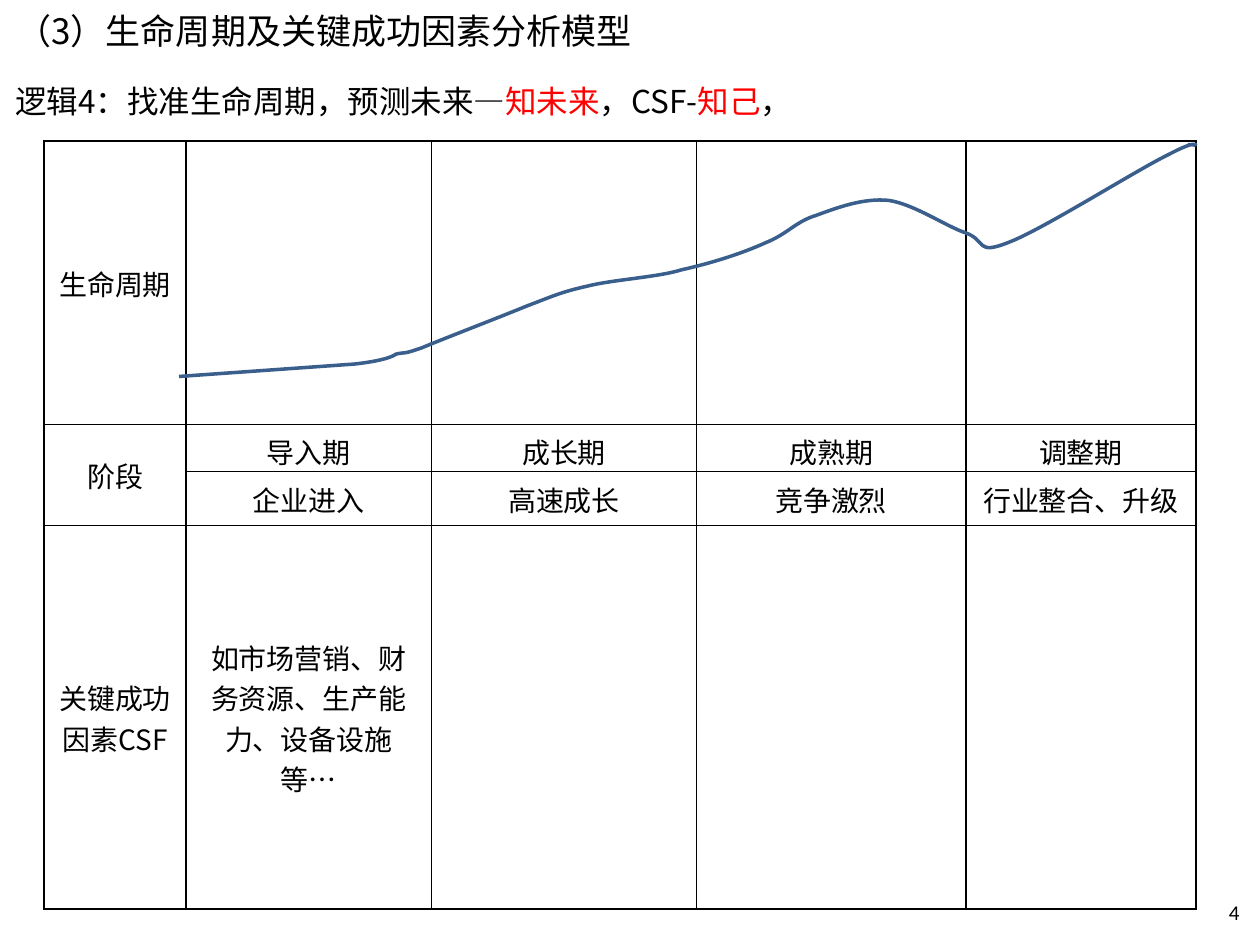
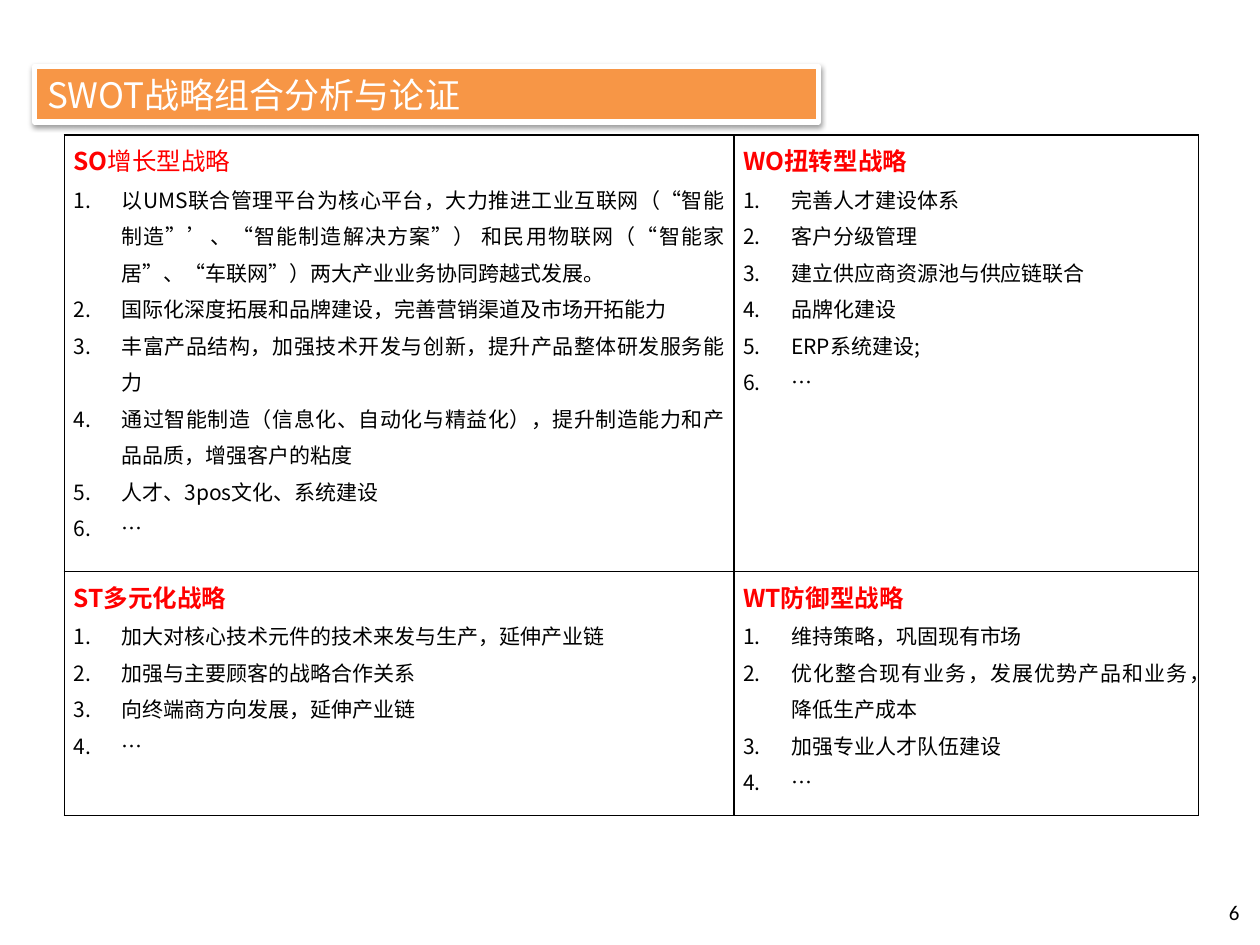
from lxml import etree
from pptx import Presentation
from pptx.dml.color import RGBColor
from pptx.enum import shapes, text
from pptx.oxml.ns import qn
from pptx.util import Cm, Pt

COLORS = {
    "ink": "000000",
    "paper": "FFFFFF",
    "accent": "FF0000",
    "band": "F79646",
    "curve": "3A5F8C",
}
HAN = "Noto Sans CJK SC"
LATIN = "Calibri"
LEFT, CENTER, JUSTIFY = (
    text.PP_ALIGN.LEFT, text.PP_ALIGN.CENTER, text.PP_ALIGN.JUSTIFY)

STAGES = [
    ("导入期", "企业进入"),
    ("成长期", "高速成长"),
    ("成熟期", "竞争激烈"),
    ("调整期", "行业整合、升级"),
]
CURVE_START = [(3.61, 7.59), (7.14, 7.34)]
CURVE_BENDS = [
    ((7.87, 7.26), (7.98, 7.14), (7.98, 7.14)),
    ((8.2, 7.09), (8.08, 7.16), (8.51, 7.01)),
    ((8.94, 6.83), (10.06, 6.4), (10.62, 6.17)),
    ((11.15, 5.97), (11.3, 5.89), (11.84, 5.77)),
    ((12.34, 5.64), (13.26, 5.59), (13.74, 5.44)),
    ((14.33, 5.31), (14.96, 5.11), (15.42, 4.9)),
    ((15.88, 4.72), (16.03, 4.47), (16.46, 4.34)),
    ((16.87, 4.19), (17.4, 3.99), (17.91, 4.04)),
    ((18.42, 4.11), (19.08, 4.57), (19.48, 4.7)),
    ((19.89, 4.85), (19.66, 5.16), (20.35, 4.88)),
    ((21.03, 4.62), (22.91, 3.43), (23.55, 3.12)),
    ((24.18, 2.79), (24.03, 2.97), (24.1, 2.92)),
    ((24.16, 2.9), (23.95, 2.92), (23.95, 2.92)),
]
STRATEGIES = [
    [
        ([("SO", True), ("增长型战略", False)], [
            "以UMS联合管理平台为核心平台，大力推进工业互联网（“智能制造”’、“智能制造解决方案”） "
            "和民用物联网（“智能家居”、“车联网”）两大产业业务协同跨越式发展。",
            "国际化深度拓展和品牌建设，完善营销渠道及市场开拓能力",
            "丰富产品结构，加强技术开发与创新，提升产品整体研发服务能力",
            "通过智能制造（信息化、自动化与精益化），提升制造能力和产品品质，增强客户的粘度",
            "人才、3pos文化、系统建设",
            "…",
        ]),
        ([("WO扭转型战略", True)], [
            "完善人才建设体系",
            "客户分级管理",
            "建立供应商资源池与供应链联合",
            "品牌化建设",
            "ERP系统建设;",
            "…",
        ]),
    ],
    [
        ([("ST多元化战略", True)], [
            "加大对核心技术元件的技术来发与生产，延伸产业链",
            "加强与主要顾客的战略合作关系",
            "向终端商方向发展，延伸产业链",
            "…",
        ]),
        ([("WT防御型战略", True)], [
            "维持策略，巩固现有市场",
            "优化整合现有业务，发展优势产品和业务，降低生产成本",
            "加强专业人才队伍建设",
            "…",
        ]),
    ],
]


def color(name):
    return RGBColor.from_string(COLORS[name])


def add_xml(parent, tag, **attributes):
    node = etree.SubElement(parent, qn(tag))
    for key, value in attributes.items():
        node.set(key, str(value))
    return node


def add_span(para, words, size, ink="ink", bold=False, font=HAN):
    span = para.add_run()
    span.text = words
    span.font.size = Pt(size)
    span.font.bold = bold
    span.font.name = font
    span.font.color.rgb = color(ink)
    props = span.font._element
    props.set("lang", "zh-CN")
    add_xml(props, "a:ea", typeface=HAN)


def write_line(shape, spans, size, align=LEFT, font=HAN):
    frame = shape.text_frame
    frame.word_wrap = True
    frame.vertical_anchor = text.MSO_ANCHOR.MIDDLE
    para = frame.paragraphs[0]
    para.alignment = align
    for words, ink in spans:
        add_span(para, words, size, ink, font=font)


def add_label(page, place, spans, size, align=LEFT, font=HAN):
    box = page.shapes.add_textbox(*map(Cm, place))
    write_line(box, spans, size, align, font)


def add_page(deck, number):
    page = deck.slides.add_slide(deck.slide_layouts[6])
    add_label(page, (24.08, 17.88, 1.6, 1.02), [(str(number), "ink")],
              12, CENTER, LATIN)
    return page


def add_borders(cell):
    props = cell._tc.get_or_add_tcPr()
    for index, side in enumerate(("a:lnL", "a:lnR", "a:lnT", "a:lnB")):
        line = add_xml(props, side, w=Pt(1))
        add_xml(add_xml(line, "a:solidFill"), "a:srgbClr", val=COLORS["ink"])
        props.insert(index, line)


def add_grid(page, left, top, widths, heights):
    frame = page.shapes.add_table(
        len(heights), len(widths), Cm(left), Cm(top),
        Cm(sum(widths)), Cm(sum(heights)))
    grid = frame.table
    grid.first_row = grid.horz_banding = False
    for column, width in zip(grid.columns, widths):
        column.width = Cm(width)
    for row, height in zip(grid.rows, heights):
        row.height = Cm(height)
    for cell in grid.iter_cells():
        cell.fill.solid()
        cell.fill.fore_color.rgb = color("paper")
        add_borders(cell)
    return grid


def fill_center(cell, words, top=0.03):
    cell.vertical_anchor = text.MSO_ANCHOR.MIDDLE
    cell.margin_top, cell.margin_bottom = Cm(top), 0
    para = cell.text_frame.paragraphs[0]
    para.alignment = CENTER
    add_span(para, words, 16)


def fill_strategy(cell, heading, items):
    cell.margin_left = cell.margin_right = Cm(0.18)
    cell.margin_top = cell.margin_bottom = 0
    frame = cell.text_frame
    para = frame.paragraphs[0]
    for words, bold in heading:
        add_span(para, words, 14, "accent", bold)
    for item in items:
        para = frame.add_paragraph()
        add_span(para, item, 12)
        props = para._p.get_or_add_pPr()
        props.set("marL", str(Cm(0.97)))
        props.set("indent", str(-Cm(0.97)))
        add_xml(props, "a:buAutoNum", type="arabicPeriod")
    for para in frame.paragraphs:
        para.alignment = JUSTIFY
        para.line_spacing = 1.2


def add_curve(page):
    knots = CURVE_START + [bend[-1] for bend in CURVE_BENDS]
    start, *rest = [(Cm(x), Cm(y)) for x, y in knots]
    builder = page.shapes.build_freeform(*start)
    builder.add_line_segments(rest, close=False)
    curve = builder.convert_to_shape()
    segments = list(curve._element.iter(qn("a:lnTo")))[1:]
    for segment, bend in zip(segments, CURVE_BENDS):
        segment.tag = qn("a:cubicBezTo")
        for child in list(segment):
            segment.remove(child)
        for x, y in bend:
            add_xml(segment, "a:pt", x=Cm(x) - curve.left, y=Cm(y) - curve.top)
    curve.fill.background()
    curve.line.color.rgb = color("curve")
    curve.line.width = Pt(2)
    curve.shadow.inherit = False


def add_band(page, place, words):
    band = page.shapes.add_shape(
        shapes.MSO_SHAPE.RECTANGLE, *map(Cm, place))
    band.fill.solid()
    band.fill.fore_color.rgb = color("band")
    band.line.color.rgb = color("paper")
    band.line.width = Pt(3)
    band.shadow.inherit = False
    effects = band._element.spPr.find(qn("a:effectLst"))
    shadow = add_xml(effects, "a:outerShdw", blurRad=Pt(3.1), dist=Pt(1.6),
                     dir=90 * 60000, rotWithShape=0)
    tint = add_xml(shadow, "a:srgbClr", val=COLORS["ink"])
    add_xml(tint, "a:alpha", val=38000)
    write_line(band, [(words, "paper")], 20)


def build_life_cycle(deck):
    page = add_page(deck, 4)
    add_label(page, (0.08, 0.03, 20.83, 1.17),
              [("（3）生命周期及关键成功因素分析模型", "ink")], 20)
    grid = add_grid(page, 0.89, 2.84, [2.86, 4.95, 5.34, 5.43, 4.64],
                    [5.72, 0.94, 1.09, 7.73])
    grid.cell(1, 0).merge(grid.cell(2, 0))
    for row, words in ((0, "生命周期"), (1, "阶段"), (3, "关键成功因素CSF")):
        fill_center(grid.cell(row, 0), words)
    for column, (stage, trait) in enumerate(STAGES, 1):
        fill_center(grid.cell(1, column), stage, 0.12)
        fill_center(grid.cell(2, column), trait)
    fill_center(grid.cell(3, 1), "如市场营销、财务资源、生产能力、设备设施等…")
    add_curve(page)
    add_label(page, (0.06, 1.52, 24.84, 1.02), [
        ("逻辑4：找准生命周期，预测未来—", "ink"),
        ("知未来", "accent"),
        ("，CSF-", "ink"),
        ("知己", "accent"),
        ("，", "ink"),
    ], 18)


def build_swot(deck):
    page = add_page(deck, 6)
    grid = add_grid(page, 1.3, 2.72, [13.5, 9.36], [8.8, 4.92])
    for row, strategies in enumerate(STRATEGIES):
        for column, (heading, items) in enumerate(strategies):
            fill_strategy(grid.cell(row, column), heading, items)
    add_band(page, (0.7, 1.34, 15.8, 1.12), "SWOT战略组合分析与论证")


def main():
    deck = Presentation()
    deck.slide_width, deck.slide_height = Cm(25.4), Cm(19.05)
    build_life_cycle(deck)
    build_swot(deck)
    deck.save("out.pptx")


if __name__ == "__main__":
    main()
